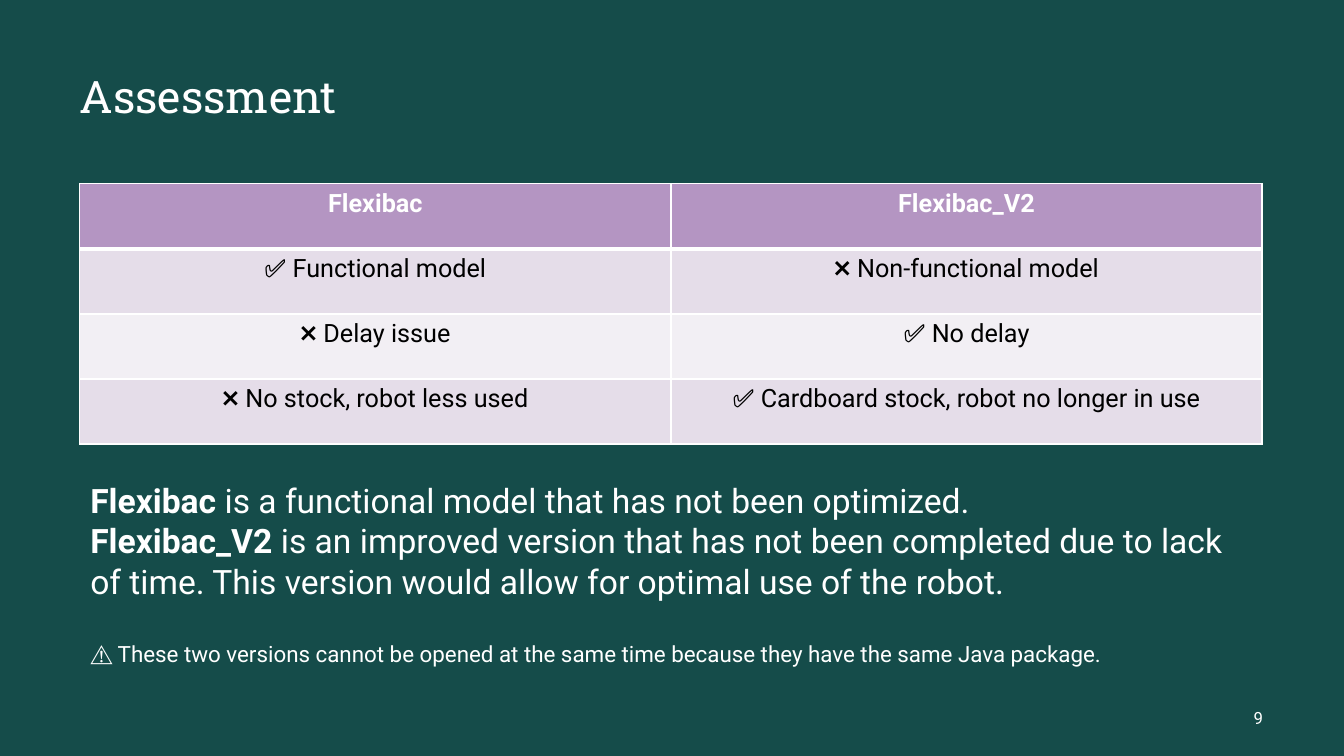
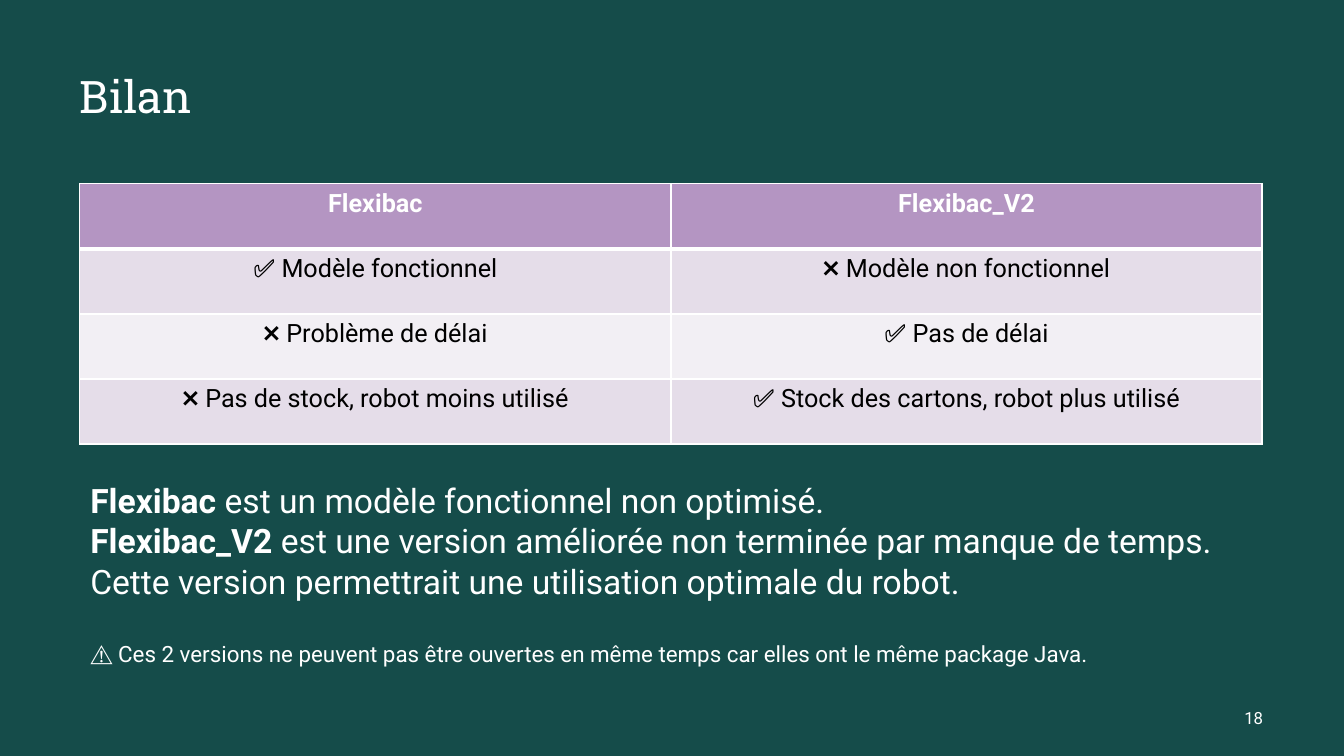
"""Build the Flexibac assessment slide in English and in French."""
import dataclasses

import lxml.etree
import pptx
import pptx.dml.color
import pptx.enum.text
import pptx.oxml.ns
import pptx.util

PX = 9525
ALIGN = pptx.enum.text.PP_ALIGN
ANCHOR = pptx.enum.text.MSO_ANCHOR


@dataclasses.dataclass(frozen=True)
class Theme:
    back: str = "154C4A"
    light: str = "FFFFFF"
    dark: str = "000000"
    header: str = "B495C2"
    bands: tuple = ("E5DDE9", "F2EFF4")
    title_font: str = "Roboto Slab"
    text_font: str = "Roboto"
    title: int = 32
    body: int = 24
    cell: int = 18
    note: int = 16
    page: int = 12
    thin: int = 1
    thick: int = 3


T = Theme()
LEFT, WIDTH = 76, 1126
TABLE_TOP, ROW_H = 175, 62

SLIDES = [
    dict(
        title="Assessment",
        page="9",
        rows=[
            ("Flexibac", "Flexibac_V2"),
            ("✅ Functional model", "❌ Non-functional model"),
            ("❌ Delay issue", "✅ No delay"),
            ("❌ No stock, robot less used", "✅ Cardboard stock, robot no longer in use"),
        ],
        summary=[
            ("Flexibac ", "is a functional model that has not been optimized."),
            ("Flexibac_V2 ", "is an improved version that has not been completed due to lack of time. "
             "This version would allow for optimal use of the robot."),
        ],
        note="⚠️ These two versions cannot be opened at the same time because they have the same Java package.",
    ),
    dict(
        title="Bilan",
        page="18",
        rows=[
            ("Flexibac", "Flexibac_V2"),
            ("✅ Modèle fonctionnel", "❌ Modèle non fonctionnel"),
            ("❌ Problème de délai", "✅ Pas de délai"),
            ("❌ Pas de stock, robot moins utilisé", "✅ Stock des cartons, robot plus utilisé"),
        ],
        summary=[
            ("Flexibac ", "est un modèle fonctionnel non optimisé."),
            ("Flexibac_V2 ", "est une version améliorée non terminée par manque de temps. "
             "Cette version permettrait une utilisation optimale du robot."),
        ],
        note="⚠️ Ces 2 versions ne peuvent pas être ouvertes en même temps car elles ont le même package Java.",
    ),
]


def write(tf, text, size=T.body, font=T.text_font, color=T.light, bold=False,
          align=ALIGN.LEFT, before=0, line=1.0, new=False):
    """Add a run to the last paragraph of a text frame, or to a new one."""
    p = tf.add_paragraph() if new else tf.paragraphs[-1]
    p.alignment = align
    p.space_before = pptx.util.Pt(before)
    p.line_spacing = line
    r = p.add_run()
    r.text = text
    r.font.name = font
    r.font.size = pptx.util.Pt(size)
    r.font.bold = bold
    r.font.color.rgb = pptx.dml.color.RGBColor.from_string(color)


def text_box(s, x, y, w, h, margins=(10, 5), anchor=ANCHOR.TOP):
    """Add an empty wrapped text box and return its text frame."""
    tf = s.shapes.add_textbox(x * PX, y * PX, w * PX, h * PX).text_frame
    tf.word_wrap = True
    tf.vertical_anchor = anchor
    tf.margin_left = tf.margin_right = margins[0] * PX
    tf.margin_top = tf.margin_bottom = margins[1] * PX
    return tf


prs = pptx.Presentation()
prs.slide_width = 1280 * PX
prs.slide_height = 720 * PX
fill = prs.slide_master.background.fill
fill.solid()
fill.fore_color.rgb = pptx.dml.color.RGBColor.from_string(T.back)

for content in SLIDES:
    s = prs.slides.add_slide(prs.slide_layouts[6])

    tf = text_box(s, LEFT, 65, WIDTH, 156, margins=(0, 0))
    write(tf, content["title"], size=T.title, font=T.title_font)

    rows = content["rows"]
    table = s.shapes.add_table(len(rows), 2, LEFT * PX, TABLE_TOP * PX,
                               WIDTH * PX, ROW_H * len(rows) * PX).table
    for i, row in enumerate(rows):
        table.rows[i].height = ROW_H * PX
        head = i == 0
        for j, text in enumerate(row):
            cell = table.cell(i, j)
            write(cell.text_frame, text, size=T.cell, bold=head, align=ALIGN.CENTER,
                  color=T.light if head else T.dark)
            cell.fill.solid()
            cell.fill.fore_color.rgb = pptx.dml.color.RGBColor.from_string(
                T.header if head else T.bands[(i - 1) % 2])
            tcPr = cell._tc.get_or_add_tcPr()
            for k, side in enumerate("LRTB"):
                thick = (i, side) in ((0, "B"), (1, "T"))
                ln = lxml.etree.Element(pptx.oxml.ns.qn("a:ln" + side),
                                        w=str(pptx.util.Pt(T.thick if thick else T.thin)))
                solid = lxml.etree.SubElement(ln, pptx.oxml.ns.qn("a:solidFill"))
                lxml.etree.SubElement(solid, pptx.oxml.ns.qn("a:srgbClr"), val=T.light)
                tcPr.insert(k, ln)

    tf = text_box(s, 1078, 644, 125, 76, margins=(0, 19), anchor=ANCHOR.MIDDLE)
    write(tf, content["page"], size=T.page, align=ALIGN.RIGHT, line=1.2)

    tf = text_box(s, LEFT, 452, 1128, 192)
    for i, (name, text) in enumerate(content["summary"]):
        write(tf, name, bold=True, new=i > 0)
        write(tf, text)
    write(tf, content["note"], size=T.note, before=28, new=True)

prs.save("out.pptx")
